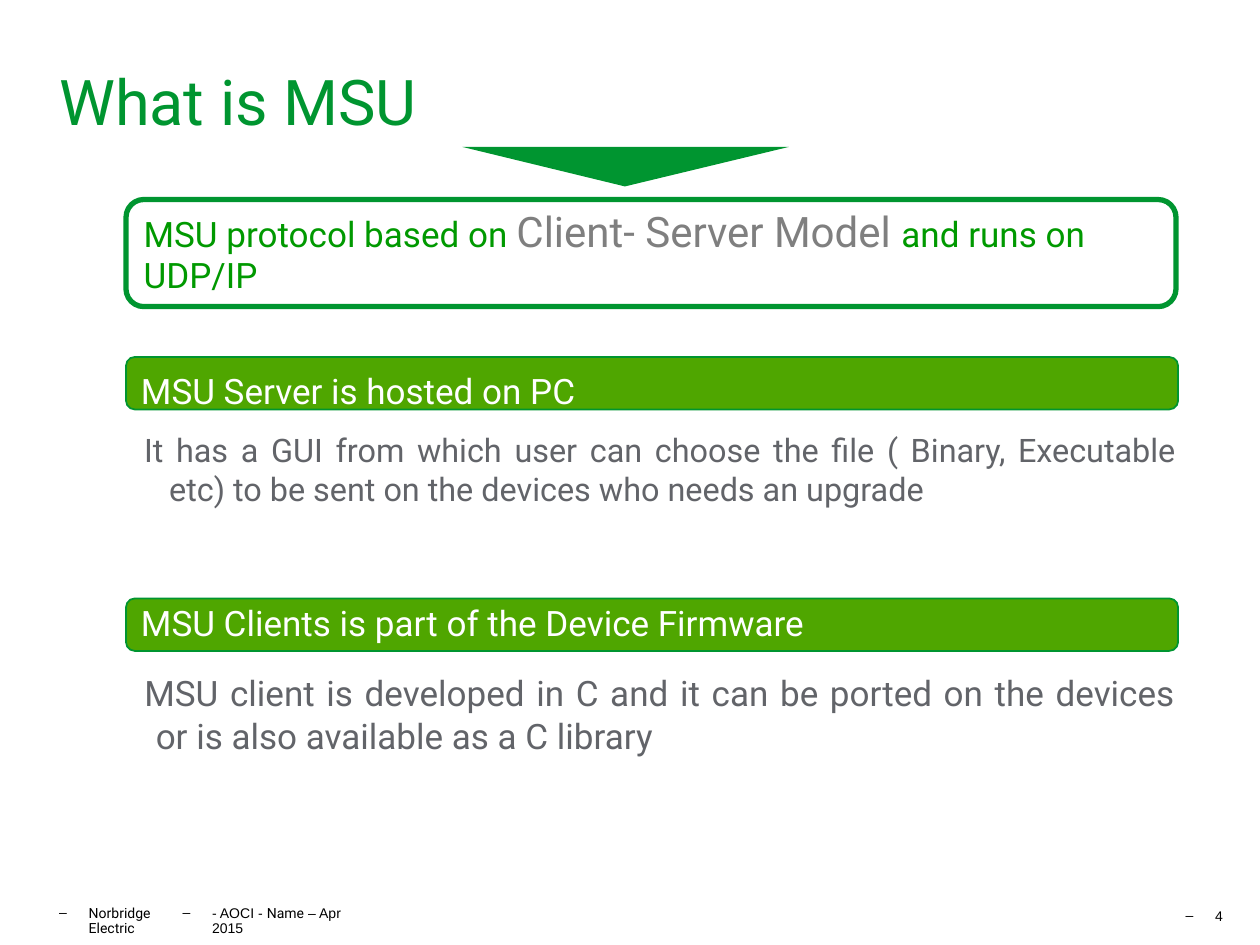
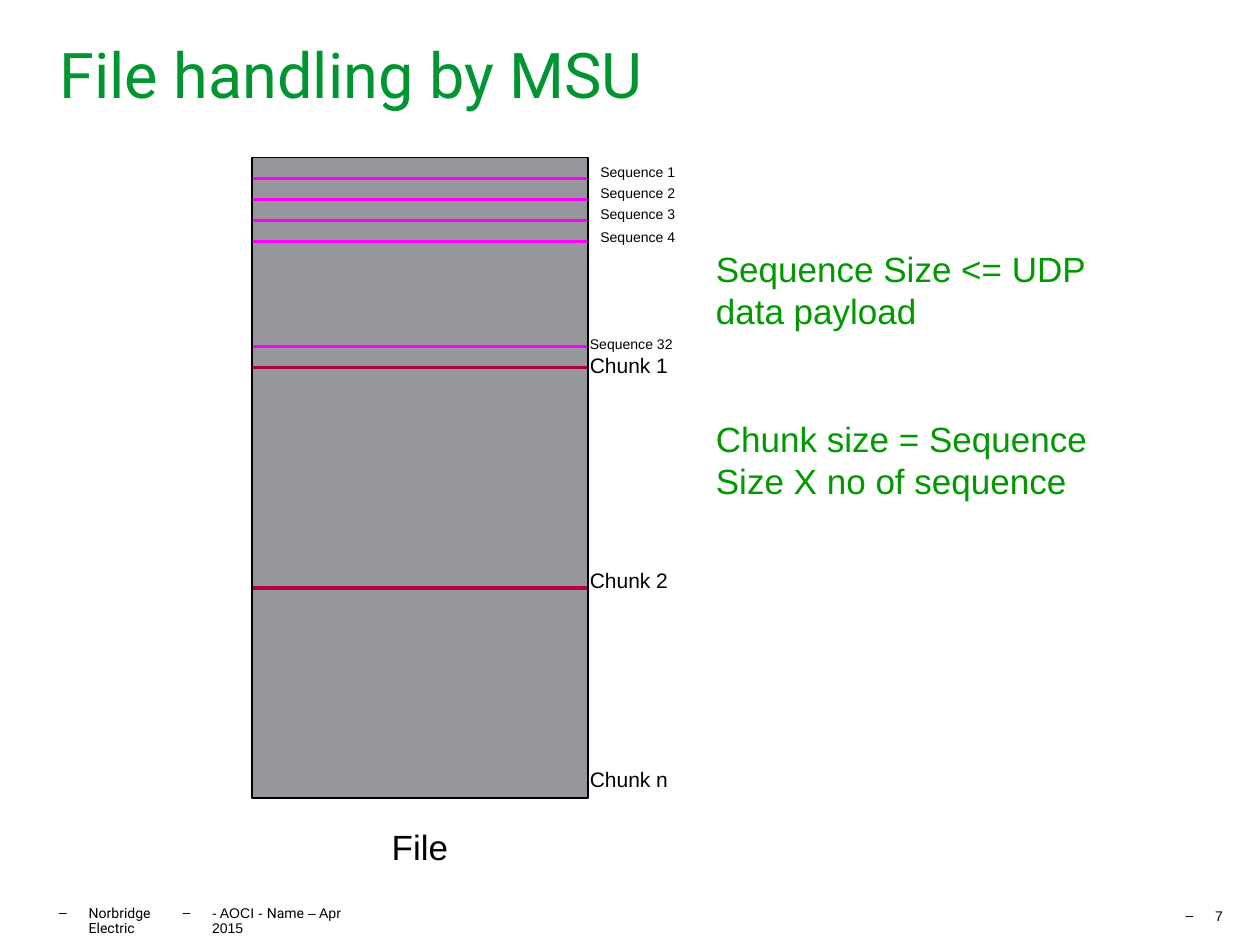
from dataclasses import dataclass
from itertools import pairwise

from lxml import etree
from pptx import Presentation
from pptx.dml.color import RGBColor
from pptx.enum.shapes import MSO_CONNECTOR, MSO_SHAPE
from pptx.enum.text import MSO_ANCHOR, PP_ALIGN
from pptx.oxml.ns import qn
from pptx.util import Pt

STRAIGHT = MSO_CONNECTOR.STRAIGHT
RECT = MSO_SHAPE.RECTANGLE
ROUNDED = MSO_SHAPE.ROUNDED_RECTANGLE
BAR = MSO_SHAPE.FLOWCHART_ALTERNATE_PROCESS
TOP, MIDDLE = MSO_ANCHOR.TOP, MSO_ANCHOR.MIDDLE
LEFT, CENTER, JUSTIFY = PP_ALIGN.LEFT, PP_ALIGN.CENTER, PP_ALIGN.JUSTIFY

# Shared look
GREEN, BAR_GREEN, TEXT_GREEN = "009530", "4FA600", "009900"
GREY, BODY_GREY, FILE_GREY = "7F7F7F", "626469", "95979D"
MAGENTA, CRIMSON, BLACK, WHITE = "FF00FF", "B10043", "000000", "FFFFFF"
ROBOTO, ARIAL = "Roboto", "Arial"
PADDING = (7.2, 3.6, 7.2, 3.6)
NO_PADDING = (0, 0, 0, 0)
TIGHT = 0.93


@dataclass
class Box:
    left: float
    top: float
    width: float
    height: float

    def emu(self) -> tuple:
        return Pt(self.left), Pt(self.top), Pt(self.width), Pt(self.height)


@dataclass
class Style:
    size: float
    font: str = ARIAL
    color: str = BLACK
    align: int = LEFT
    spacing: float = 1.0
    indent: float = 0
    hanging: float = 0
    bullet: str = ""


@dataclass
class Run:
    text: str
    font: str | None = None
    size: float | None = None
    color: str | None = None


@dataclass
class Label:
    text: str
    left: float
    top: float
    size: float


@dataclass
class Line:
    start: tuple
    end: tuple
    color: str
    weight: float


TITLE = Style(36, ROBOTO, GREEN)
FOOTER = Style(8, spacing=TIGHT, indent=16.8, hanging=16.8, bullet="–")
BAR_TEXT = Style(20, ROBOTO, WHITE, spacing=TIGHT)


def rgb(color: str) -> RGBColor:
    return RGBColor.from_string(color)


def write(p, runs: list, style: Style) -> None:
    """Fill a paragraph with runs and apply its style."""
    p.alignment, p.line_spacing = style.align, style.spacing
    p.font.size, p.font.name = Pt(style.size), style.font
    p.font.color.rgb = rgb(style.color)
    for run in runs:
        r = p.add_run()
        r.text = run.text
        if run.font:
            r.font.name = run.font
        if run.size:
            r.font.size = Pt(run.size)
        if run.color:
            r.font.color.rgb = rgb(run.color)
    pPr = p._p.get_or_add_pPr()
    if style.indent:
        pPr.set("marL", str(Pt(style.indent)))
        pPr.set("indent", str(-Pt(style.hanging)))
    if style.bullet:
        defaults = pPr.find(qn("a:defRPr"))
        defaults.addprevious(etree.Element(qn("a:buFont"), typeface=ARIAL))
        defaults.addprevious(etree.Element(qn("a:buChar"), char=style.bullet))


def frame(sp, padding: tuple, anchor: int):
    tf = sp.text_frame
    tf.word_wrap, tf.vertical_anchor = True, anchor
    tf.margin_left, tf.margin_top, tf.margin_right, tf.margin_bottom = map(Pt, padding)
    return tf


def add_text(s, box: Box, runs: list, style: Style, padding: tuple = NO_PADDING,
             anchor: int = TOP):
    tf = frame(s.shapes.add_textbox(*box.emu()), padding, anchor)
    write(tf.paragraphs[0], runs, style)
    return tf


def paint(sp, fill: str | None, line: str | None, weight: float = 0) -> None:
    sp.shadow.inherit = False
    if fill:
        sp.fill.solid()
        sp.fill.fore_color.rgb = rgb(fill)
    else:
        sp.fill.background()
    if line:
        sp.line.color.rgb, sp.line.width = rgb(line), Pt(weight)
    else:
        sp.line.fill.background()


def add_panel(s, kind: int, box: Box, fill: str | None, line: str, weight: float,
              runs: list | None = None, style: Style = BAR_TEXT,
              padding: tuple = PADDING) -> None:
    sp = s.shapes.add_shape(kind, *box.emu())
    paint(sp, fill, line, weight)
    if runs:
        write(frame(sp, padding, MIDDLE).paragraphs[0], runs, style)


def add_line(s, line: Line) -> None:
    c = s.shapes.add_connector(STRAIGHT, *map(Pt, line.start + line.end))
    c.line.color.rgb, c.line.width = rgb(line.color), Pt(line.weight)
    etree.SubElement(c._element.spPr, qn("a:effectLst"))


def new_slide(prs, title: str, title_box: Box, number: int):
    """Blank slide with the shared title and footer."""
    s = prs.slides.add_slide(prs.slide_layouts[6])
    add_text(s, title_box, [Run(title)], TITLE, anchor=MIDDLE)
    footers = [
        (Box(33.84, 517.68, 71.3, 9), [Run("Norbridge Electric", ROBOTO)]),
        (Box(104.4, 517.68, 100.8, 9),
         [Run("- AOCI - "), Run("Name", ROBOTO), Run(" – Apr 2015")]),
        (Box(677.5, 519.4, 23, 6), [Run(str(number))]),
    ]
    for box, runs in footers:
        add_text(s, box, runs, FOOTER)
    return s


def build_overview(prs) -> None:
    s = new_slide(prs, "What is MSU", Box(33.84, 12.24, 651.6, 90.72), 4)

    # Pointer above the key statement
    builder = s.shapes.build_freeform(Pt(264.24), Pt(84))
    builder.add_line_segments([(Pt(450.72), Pt(84)), (Pt(357.12), Pt(106.56))])
    paint(builder.convert_to_shape(), GREEN, None)

    # Key statement
    add_panel(s, ROUNDED, Box(72, 114, 600, 61.2), None, GREEN, 3,
              [Run("MSU protocol based on "),
               Run("Client- Server Model ", size=24, color=GREY),
               Run("and runs on UDP/IP")],
              Style(20, ROBOTO, TEXT_GREEN, spacing=TIGHT))

    # Headed sections; the first heading sits low in its bar
    sections = [
        ("MSU Server is hosted on PC", 204, (7.2, 11, 7.2, 0),
         "It has a GUI from which user can choose the file ( Binary, Executable etc) "
         "to be sent on the devices who needs an upgrade",
         245.8, Style(18.5, ROBOTO, BODY_GREY, JUSTIFY, indent=42.7, hanging=14.4)),
        ("MSU Clients is part of the Device Firmware", 342, PADDING,
         "MSU client is developed in C and it can be ported on the devices "
         "or is also available as a C library",
         384, Style(20, ROBOTO, BODY_GREY, JUSTIFY, indent=35, hanging=6.5)),
    ]
    for heading, bar_top, padding, body, body_top, style in sections:
        add_panel(s, BAR, Box(72, bar_top, 601.2, 30), BAR_GREEN, GREEN, 1,
                  [Run(heading)], padding=padding)
        add_text(s, Box(54, body_top, 617.8, 58), [Run(body)], style)


def build_file_handling(prs) -> None:
    s = new_slide(prs, "File handling by MSU", Box(33.84, 6, 651.6, 72), 7)

    # File block cut into sequences and chunks
    left, right, top, bottom = 144, 336, 90, 456
    file_box = Box(left, top, right - left, bottom - top)
    add_panel(s, RECT, file_box, FILE_GREY, BLACK, 0.75)
    sequence_ys = [102 + 12 * i for i in range(4)] + [198]
    lines = [Line((left, y), (right, y), MAGENTA, 1.25) for y in sequence_ys]
    lines += [Line((left, y), (right, y), CRIMSON, 2.25) for y in (210, 336)]

    # Outline of the block, its sides in three stretches
    lines += [Line((left, y), (right, y), BLACK, 0.75) for y in (top, bottom)]
    lines += [Line((x, y1), (x, y2), BLACK, 0.75)
              for x in (left, right)
              for y1, y2 in pairwise((top, 342, 396, bottom))]
    for line in lines:
        add_line(s, line)

    # Labels beside the block
    labels = [Label(f"Sequence {n}", 336, y, 8)
              for n, y in enumerate((90, 102, 114, 127), 1)]
    labels += [
        Label("Sequence 32", 330, 188, 8),
        Label("Chunk 1", 330, 198, 12),
        Label("Chunk 2", 330, 320.8, 12),
        Label("Chunk n", 330, 434.2, 12),
    ]
    for label in labels:
        add_text(s, Box(label.left, label.top, 66, 2.2 * label.size),
                 [Run(label.text)], Style(label.size), PADDING)
    add_text(s, Box(left, 468, 192, 31.7), [Run("File")], Style(20, align=CENTER), PADDING)

    # Size rules
    rule = Style(20, color=TEXT_GREEN)
    tf = add_text(s, Box(402, 138, 252, 152.6),
                  [Run("Sequence Size <= UDP data payload")], rule, PADDING)
    p = tf.add_paragraph()
    write(p, [Run("Chunk size = Sequence Size X no of sequence")], rule)
    p.space_before = Pt(49)


def main() -> None:
    prs = Presentation()
    prs.slide_width, prs.slide_height = Pt(720), Pt(540)
    build_overview(prs)
    build_file_handling(prs)
    prs.save("out.pptx")


if __name__ == "__main__":
    main()
